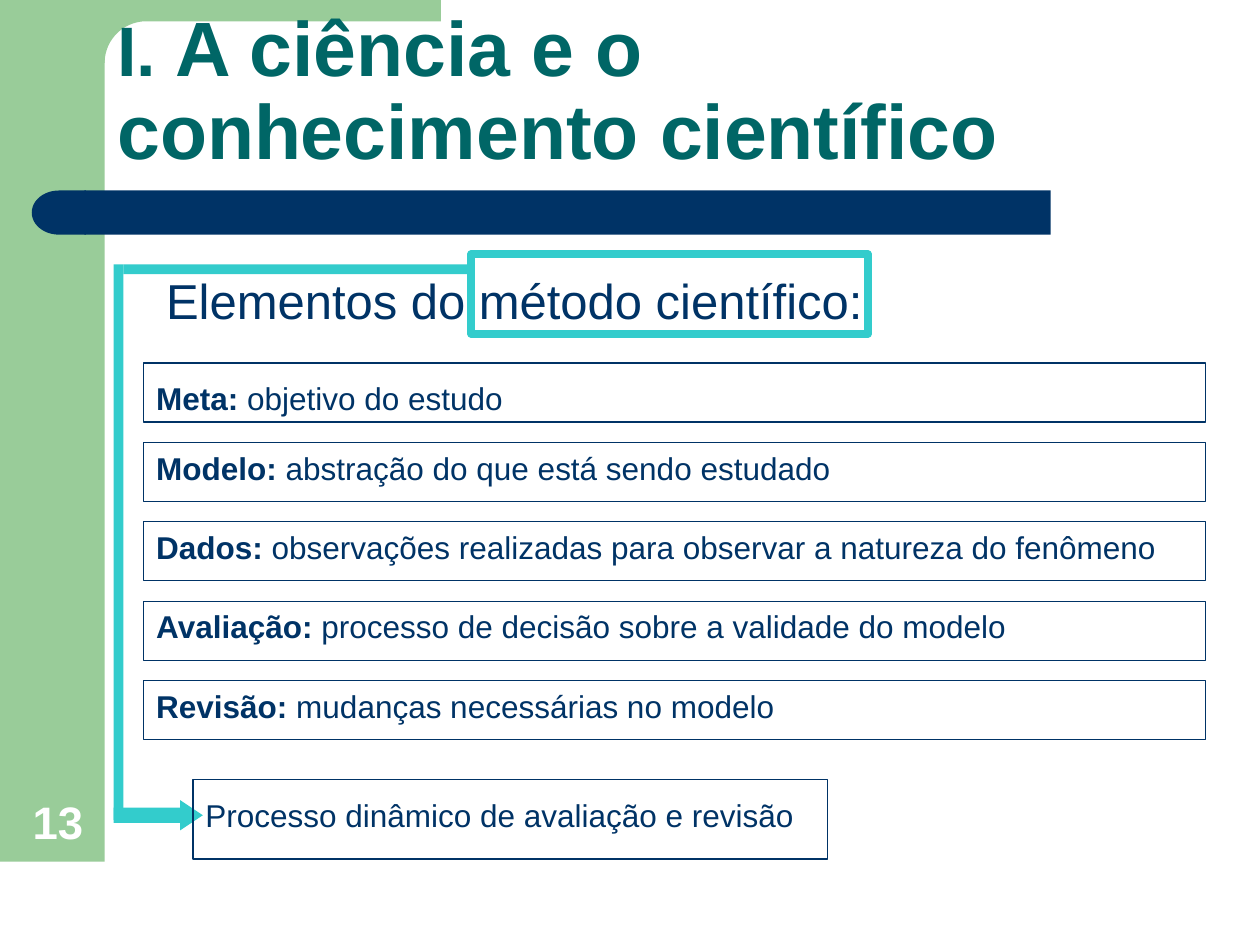
from math import cos, sin, radians
from pptx import Presentation
from pptx.dml.color import RGBColor
from pptx.enum.shapes import MSO_SHAPE as Kind
from pptx.enum.text import MSO_ANCHOR as Anchor, MSO_AUTO_SIZE as Fit, PP_ALIGN as Align
from pptx.util import Cm, Pt

GREEN = RGBColor(0x99, 0xCC, 0x99)
NAVY = RGBColor(0x00, 0x33, 0x66)
TEAL = RGBColor(0x00, 0x66, 0x66)
AQUA = RGBColor(0x33, 0xCC, 0xCC)
WHITE = RGBColor(0xFF, 0xFF, 0xFF)

# Label, its text, text width and drop below the top of the row
ROWS = [
    ("Meta:", " objetivo do estudo", 19, 0.2),
    ("Modelo:", " abstração do que está sendo estudado", 21.41, 0),
    ("Dados:", " observações realizadas para observar a natureza do fenômeno", 21.82, 0),
    ("Avaliação:", " processo de decisão sobre a validade do modelo", 21.41, 0),
    ("Revisão:", " mudanças necessárias no modelo", 21.41, 0),
]


def solid(shape, color):
    shape.shadow.inherit = False
    shape.fill.solid()
    shape.fill.fore_color.rgb = color
    shape.line.fill.background()
    return shape


def block(slide, box, color, kind=Kind.RECTANGLE):
    return solid(slide.shapes.add_shape(kind, *map(Cm, box)), color)


def frame(slide, box, color, width):
    shape = slide.shapes.add_shape(Kind.RECTANGLE, *map(Cm, box))
    shape.shadow.inherit = False
    shape.fill.background()
    shape.line.color.rgb = color
    shape.line.width = Pt(width)


def write(para, text, size, color=NAVY, bold=False):
    run = para.add_run()
    run.text = text
    font = run.font
    font.name, font.size, font.bold = "Arial", Pt(size), bold
    font.color.rgb = color


def label(slide, box, fit=Fit.SHAPE_TO_FIT_TEXT):
    text = slide.shapes.add_textbox(*map(Cm, box)).text_frame
    text.word_wrap = True
    text.auto_size = fit
    return text.paragraphs[0]


def corner(slide):
    # Top band that turns into the side band with a round inner corner
    mid_x, mid_y, rad = 2.95, 1.27, 0.84
    arc = [(mid_x - rad * sin(radians(a)), mid_y - rad * cos(radians(a)))
           for a in range(0, 91, 6)]
    points = [(8.89, 0), (8.89, 0.43), *arc, (1.27, mid_y), (1.27, 0)]
    pairs = [(Cm(x), Cm(y)) for x, y in points]
    path = slide.shapes.build_freeform(*pairs[0])
    path.add_line_segments(pairs[1:], close=True)
    solid(path.convert_to_shape(), GREEN)


def decor(slide):
    block(slide, (0, 0, 2.11, 17.37), GREEN)
    corner(slide)
    block(slide, (1.7, 3.84, 19.48, 0.89), NAVY)
    cap = block(slide, (0.64, 3.84, 1.09, 0.89), NAVY, Kind.FLOWCHART_DELAY)
    cap.rotation = 180


def title(slide):
    shape = slide.shapes.title
    shape.left, shape.top, shape.width, shape.height = map(Cm, (2.11, 0.91, 21.62, 2.77))
    slide.shapes._spTree.append(shape._element)  # in front of the bands
    text = shape.text_frame
    text.word_wrap = True
    text.auto_size = Fit.NONE
    text.vertical_anchor = Anchor.BOTTOM
    para = text.paragraphs[0]
    para.alignment = Align.LEFT
    para.line_spacing = 0.9
    write(para, "I. ", 40, TEAL, True)
    write(para, "A ciência e o conhecimento científico", 44, TEAL, True)


def rows(slide):
    left, top, step = 2.9, 7.32, 1.6
    for i, (name, text, width, drop) in enumerate(ROWS):
        y = top + i * step
        frame(slide, (left, y, 21.41, 1.19), NAVY, 0.75)
        para = label(slide, (left, y + drop, width, 1.02))
        write(para, name, 18, bold=True)
        write(para, text, 18)


def arrow(slide):
    # Bent arrow from the framed term down to the closing box
    block(slide, (2.29, 5.33, 0.2, 11.2), AQUA)
    head = block(slide, (2.29, 16.13, 1.8, 0.61), AQUA, Kind.RIGHT_ARROW)
    head.adjustments[1] = 0.75
    block(slide, (2.49, 5.33, 7.01, 0.2), AQUA)


def main():
    deck = Presentation()
    deck.slide_width, deck.slide_height = Cm(25.4), Cm(19.05)
    slide = deck.slides.add_slide(deck.slide_layouts[5])
    decor(slide)

    # Heading with its framed term
    frame(slide, (9.5, 5.13, 8, 1.6), AQUA, 4.5)
    title(slide)
    write(label(slide, (3.1, 5.33, 21, 1.45)), "Elementos do método científico:", 28)

    rows(slide)
    arrow(slide)

    # Closing box
    write(label(slide, (3.89, 15.93, 17.6, 1.02)),
          "Processo dinâmico de avaliação e revisão", 18)
    frame(slide, (3.89, 15.72, 12.8, 1.6), NAVY, 0.75)

    # Slide number
    para = label(slide, (0.41, 15.88, 1.63, 1.35), Fit.NONE)
    write(para, "13", 26, WHITE, True)
    deck.save("out.pptx")


if __name__ == "__main__":
    main()
